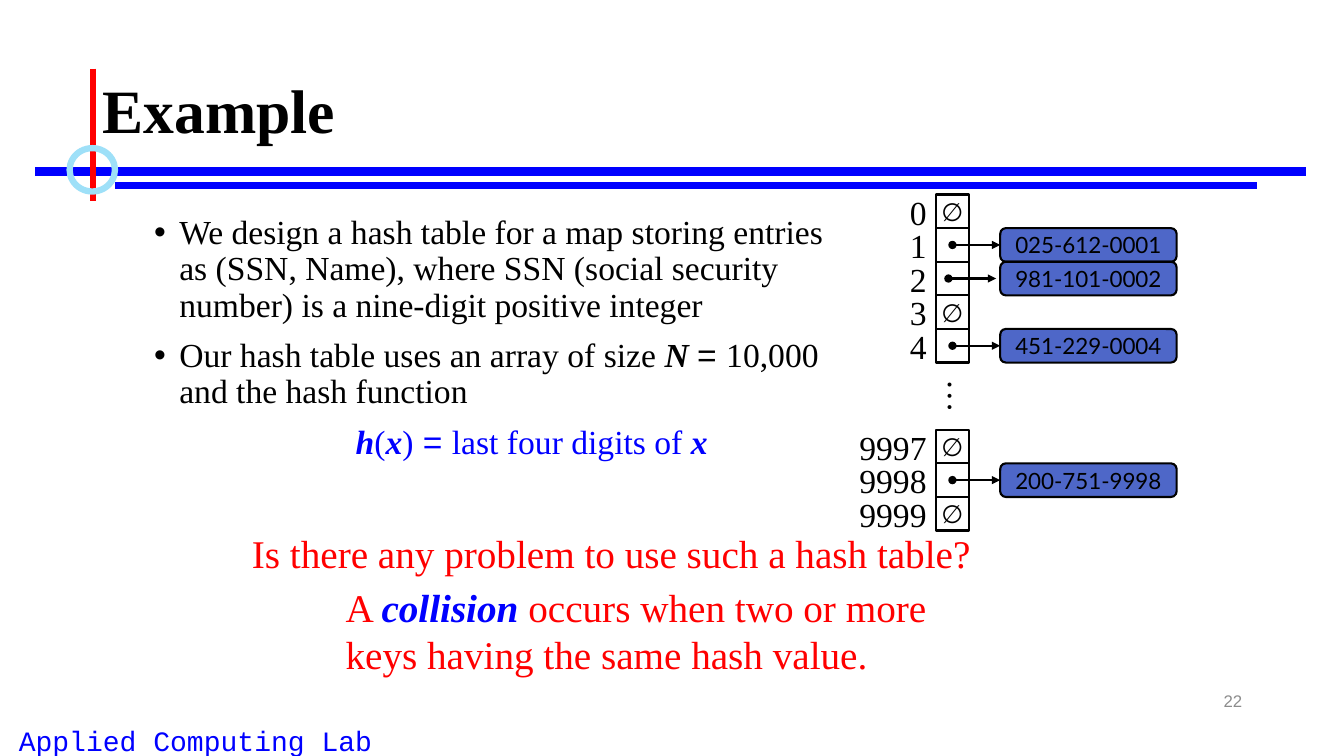
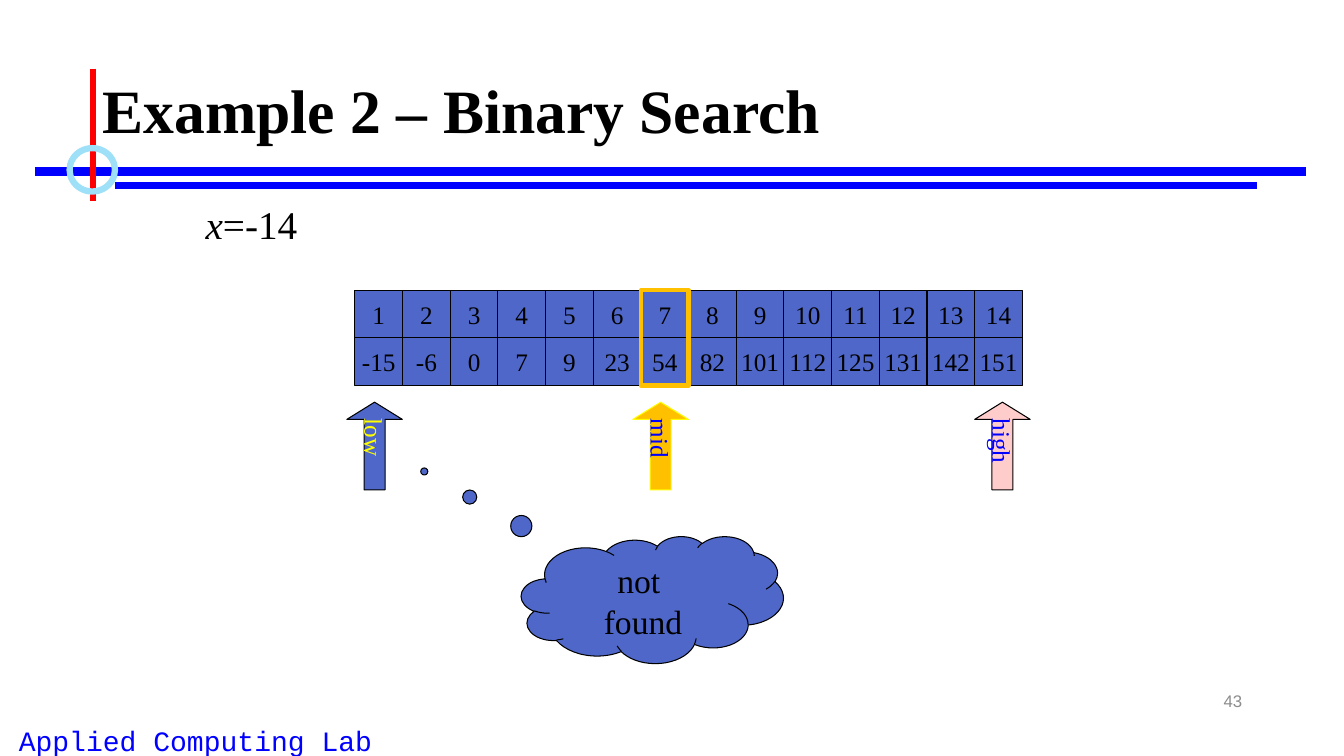
from lxml.etree import SubElement
from pptx import Presentation
from pptx.dml.color import RGBColor
from pptx.enum.shapes import MSO_CONNECTOR, MSO_SHAPE as Preset
from pptx.enum.text import MSO_ANCHOR as Anchor, PP_ALIGN as Align
from pptx.oxml.ns import qn
from pptx.util import Inches, Pt

SLIDE_W, SLIDE_H = 13.33, 7.5
COLORS = {
    "black": "000000", "blue": "0000FF", "red": "FF0000", "sky": "9EE0F8",
    "gray": "8C8C8C", "indigo": "4E67C8", "amber": "FFC000",
    "yellow": "FFFF00", "pink": "FFCCCC",
}
SERIF, SANS, MONO, LABEL = "Times New Roman", "Arial", "Courier New", "Lato"

FOOTER = "Applied Computing Lab"
RULES = [
    ((0.35, 1.7), (12.95, 1.7), "blue", 6),
    ((1.14, 1.84), (12.47, 1.84), "blue", 4.5),
    ((0.92, 0.68), (0.92, 1.99), "red", 4.5),
]

BOLD_ITALIC = {"bold": True, "italic": True}
BLUE = {"color": "blue"}
BLUE_TERM = {**BLUE, **BOLD_ITALIC}
DESIGN_POINTS = [
    [("We design a hash table for a map storing entries as (SSN, Name), where "
      "SSN (social security number) is a nine-digit positive integer", {})],
    [("Our hash table uses an array of size ", {}), ("N ", BOLD_ITALIC),
     ("= ", {"font": SANS}), ("10,000 and the hash function", {})],
]
HASH_FUNCTION = [
    ("h", BLUE_TERM), ("(", BLUE), ("x", BLUE_TERM), (")", BLUE),
    (" = ", {"font": SANS, **BLUE}), ("last four digits of ", BLUE), ("x", BLUE_TERM),
]
QUESTION = [[("Is there any problem to use such a hash table?", {})]]
ANSWER = [
    [("A ", {}), ("collision", BLUE_TERM), (" occurs when two or more", {})],
    [("keys having the same hash value.", {})],
]

BUCKETS = [
    (0, "0", None, 0), (1, "1", "025-612-0001", 0),
    (2, "2", "981-101-0002", -0.04), (3, "3", None, 0),
    (4, "4", "451-229-0004", 0), (7, "9997", None, 0),
    (8, "9998", "200-751-9998", 0), (9, "9999", None, 0),
]
GAP_SLOT = 6
BUCKET_LEFT, BUCKET_TOP, BUCKET = 9.28, 1.93, 1 / 3
ENTRY_LEFT, ENTRY_W = 9.92, 1.75

SORTED_VALUES = [-15, -6, 0, 7, 9, 23, 54, 82, 101, 112, 125, 131, 142, 151]
ARRAY_LEFT, ARRAY_TOP, ARRAY_W = 3.52, 2.88, 6.62
CELL = ARRAY_W / len(SORTED_VALUES)
MID = 7
POINTERS = [
    ("low", 1, -0.08, "indigo", "black", "yellow"),
    ("mid", MID, -0.08, "amber", "yellow", "blue"),
    ("high", len(SORTED_VALUES), 0, "pink", "black", "blue"),
]


def rgb(name):
    return RGBColor.from_string(COLORS[name])


def write(shape, paragraphs, size, font=SERIF, color="black", align=Align.LEFT,
          anchor=Anchor.TOP, wrap=True, spacing=None, bold=False):
    frame = shape.text_frame
    frame.word_wrap, frame.vertical_anchor = wrap, anchor
    if isinstance(paragraphs, str):
        paragraphs = [[(line, {})] for line in paragraphs.split("\n")]
    for index, pieces in enumerate(paragraphs):
        paragraph = frame.add_paragraph() if index else frame.paragraphs[0]
        paragraph.alignment = align
        if spacing:
            paragraph.line_spacing = spacing
        for words, style in pieces:
            run = paragraph.add_run()
            run.text = words
            run.font.size = Pt(size)
            run.font.name = style.get("font", font)
            run.font.bold = style.get("bold", bold)
            run.font.italic = style.get("italic", False)
            run.font.color.rgb = rgb(style.get("color", color))
    return frame


def add_text(slide, box, paragraphs, size, **options):
    return write(slide.shapes.add_textbox(*map(Inches, box)), paragraphs, size, **options)


def add_block(slide, preset, box, fill, line, weight, adjustments=()):
    block = slide.shapes.add_shape(preset, *map(Inches, box))
    block.shadow.inherit = False
    if fill:
        block.fill.solid()
        block.fill.fore_color.rgb = rgb(fill)
    else:
        block.fill.background()
    block.line.color.rgb = rgb(line)
    block.line.width = Pt(weight)
    for index, value in enumerate(adjustments):
        block.adjustments[index] = value
    return block


def add_line(slide, start, end, color, weight, ends=()):
    line = slide.shapes.add_connector(MSO_CONNECTOR.STRAIGHT, *map(Inches, start + end))
    line.line.color.rgb = rgb(color)
    line.line.width = Pt(weight)
    for tag, kind in ends:
        SubElement(line.line._get_or_add_ln(), qn(tag)).set("type", kind)
    SubElement(line._element.spPr, qn("a:effectLst"))


def set_indent(paragraph, left, first=0, bullet=None):
    props = paragraph._p.get_or_add_pPr()
    props.set("marL", str(Inches(left)))
    props.set("indent", str(Inches(first)))
    if bullet:
        SubElement(props, qn("a:buFont")).set("typeface", SANS)
        SubElement(props, qn("a:buChar")).set("char", bullet)


def start_slide(deck, title, number):
    slide = deck.slides.add_slide(deck.slide_layouts[6])
    add_text(slide, (-0.58, 7.13, 5.04, 0.43), FOOTER, 20, font=MONO,
             color="blue", align=Align.CENTER)
    for rule in RULES:
        add_line(slide, *rule)
    add_block(slide, Preset.OVAL, (0.69, 1.47, 0.45, 0.43), None, "sky", 4.5)
    add_text(slide, (9.42, 6.75, 3, 0.4), str(number), 12, font=SANS,
             color="gray", align=Align.RIGHT, anchor=Anchor.MIDDLE)
    add_text(slide, (0.92, 0.4, 11.5, 1.45), title, 44, bold=True,
             anchor=Anchor.MIDDLE, spacing=0.9)
    return slide


def draw_buckets(slide):
    centered = {"align": Align.CENTER, "wrap": False}
    for slot, index, key, nudge in BUCKETS:
        top = BUCKET_TOP + slot * BUCKET
        middle = top + BUCKET / 2
        bucket = add_block(slide, Preset.RECTANGLE, (BUCKET_LEFT, top, BUCKET, BUCKET),
                           None, "black", 1.5)
        label_w = 0.2 + len(index) / 6
        add_text(slide, (BUCKET_LEFT + 0.01 - label_w, top - 0.08, label_w, 0.5),
                 index, 24, **centered)
        if key:
            entry = add_block(slide, Preset.ROUNDED_RECTANGLE,
                              (ENTRY_LEFT, top, ENTRY_W, BUCKET),
                              "indigo", "black", 1.5, [0.17])
            write(entry, key, 16, font=LABEL, anchor=Anchor.MIDDLE, **centered)
            add_line(slide, (BUCKET_LEFT + BUCKET / 2 + nudge, middle),
                     (ENTRY_LEFT + nudge, middle), "black", 1.5,
                     [("a:headEnd", "oval"), ("a:tailEnd", "triangle")])
        else:
            write(bucket, "∅", 18, font=LABEL, anchor=Anchor.MIDDLE, **centered)
    gap = slide.shapes.add_textbox(
        Inches(9.27), Inches(BUCKET_TOP + GAP_SLOT * BUCKET - 0.25), Inches(0.53), Inches(0.5))
    gap.rotation = 90
    write(gap, "…", 24, **centered)


def build_hash_slide(deck):
    slide = start_slide(deck, "Example", 22)
    body = add_text(slide, (1.43, 2.09, 6.95, 4.83), DESIGN_POINTS + [HASH_FUNCTION],
                    24, spacing=0.9)
    for paragraph in body.paragraphs:
        paragraph.space_before = Pt(10)
    *points, formula = body.paragraphs
    for point in points:
        set_indent(point, 0.25, -0.25, "•")
    set_indent(formula, 2)
    draw_buckets(slide)
    add_text(slide, (2.4, 5.2, 7.75, 0.57), QUESTION, 28, color="red")
    add_text(slide, (3.33, 5.74, 6.43, 1.03), ANSWER, 28, color="red")


def build_search_slide(deck):
    slide = start_slide(deck, "Example 2 – Binary Search", 43)
    add_text(slide, (1.94, 1.94, 1.18, 0.57),
             [[("x", {"italic": True}), ("=-14", {})]], 28)
    centered = {"align": Align.CENTER, "anchor": Anchor.MIDDLE, "wrap": False}
    for column, pair in enumerate(enumerate(SORTED_VALUES, 1)):
        for row, value in enumerate(pair):
            cell = add_block(slide, Preset.RECTANGLE,
                             (ARRAY_LEFT + column * CELL, ARRAY_TOP + row * CELL, CELL, CELL),
                             "indigo", "black", 0.75)
            write(cell, str(value), 18, **centered)
    for name, position, nudge, fill, line, color in POINTERS:
        arrow = add_block(slide, Preset.UP_ARROW,
                          (ARRAY_LEFT + (position - 1) * CELL + nudge, 3.99, 0.55, 0.87),
                          fill, line, 0.75, [0.38, 0.31])
        frame = write(arrow, name, 18, color=color, **centered)
        frame._txBody.bodyPr.set("vert", "eaVert")
    add_block(slide, Preset.RECTANGLE,
              (ARRAY_LEFT + (MID - 1) * CELL, ARRAY_TOP, CELL, 2 * CELL), None, "amber", 3)
    cloud = add_block(slide, Preset.CLOUD_CALLOUT, (5.17, 5.32, 2.6, 1.26),
                      "indigo", "black", 0.75, [-0.87, -1.01])
    write(cloud, "not \nfound", 24, align=Align.CENTER)


def main():
    deck = Presentation()
    deck.slide_width, deck.slide_height = Inches(SLIDE_W), Inches(SLIDE_H)
    build_hash_slide(deck)
    build_search_slide(deck)
    deck.save("out.pptx")


if __name__ == "__main__":
    main()
